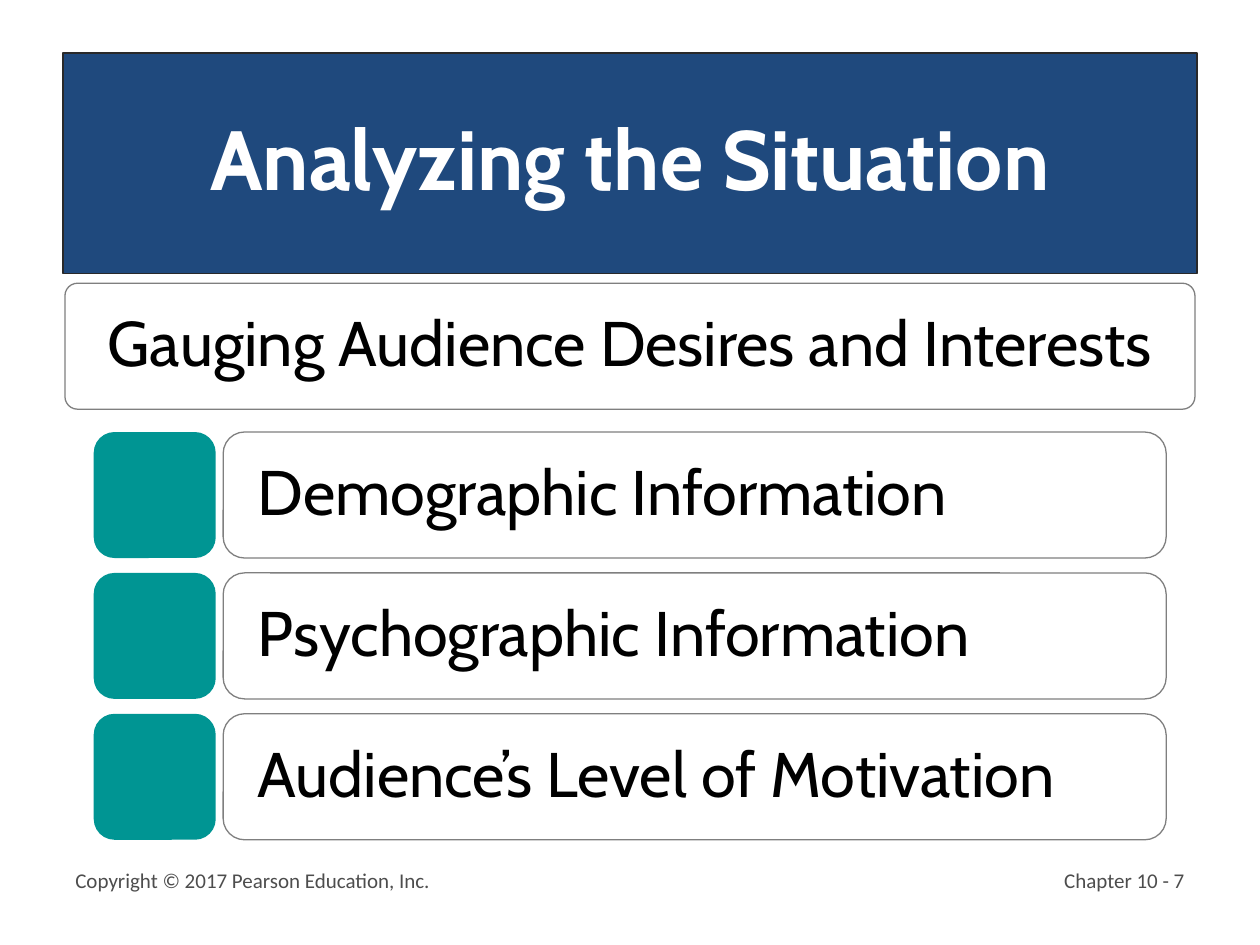
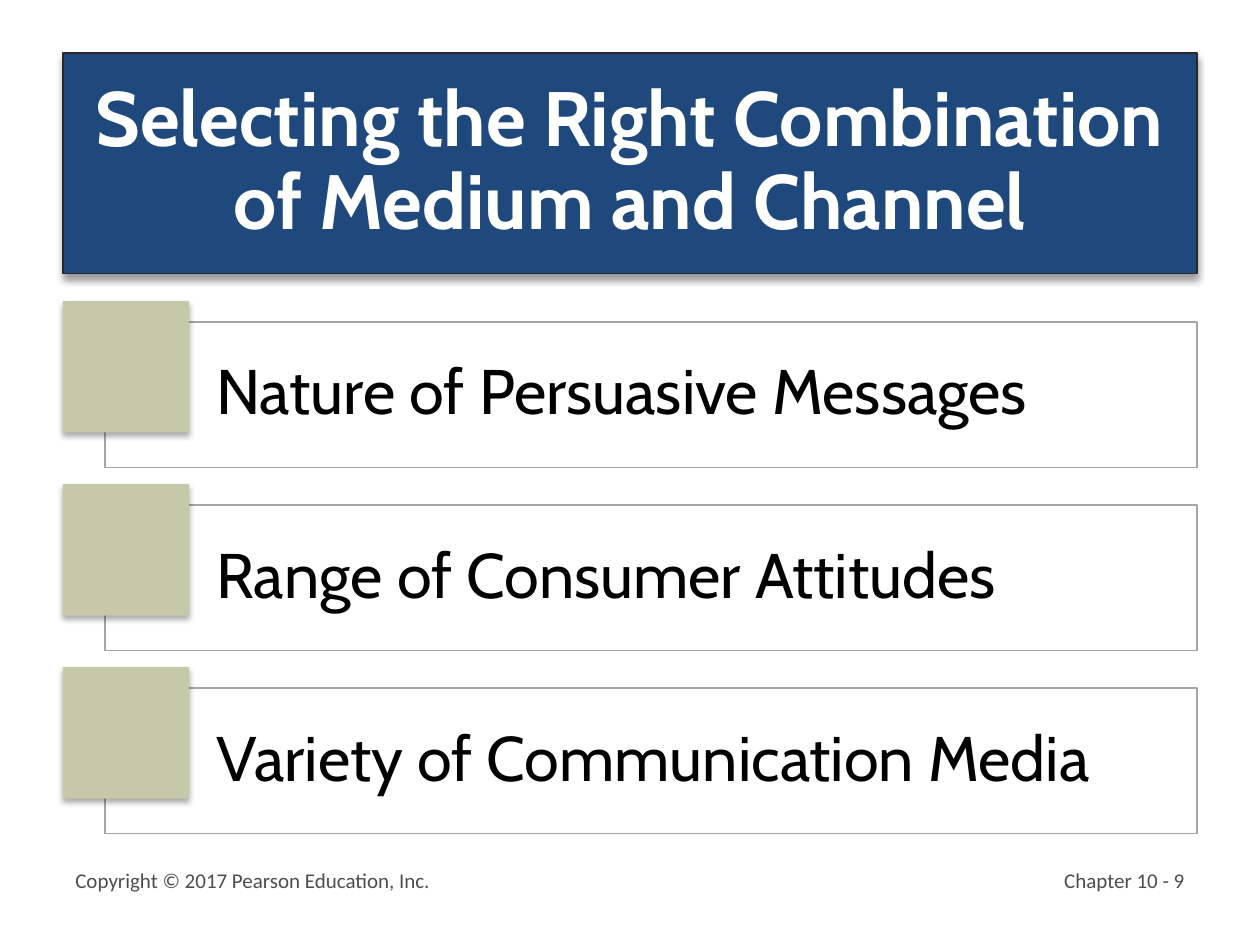
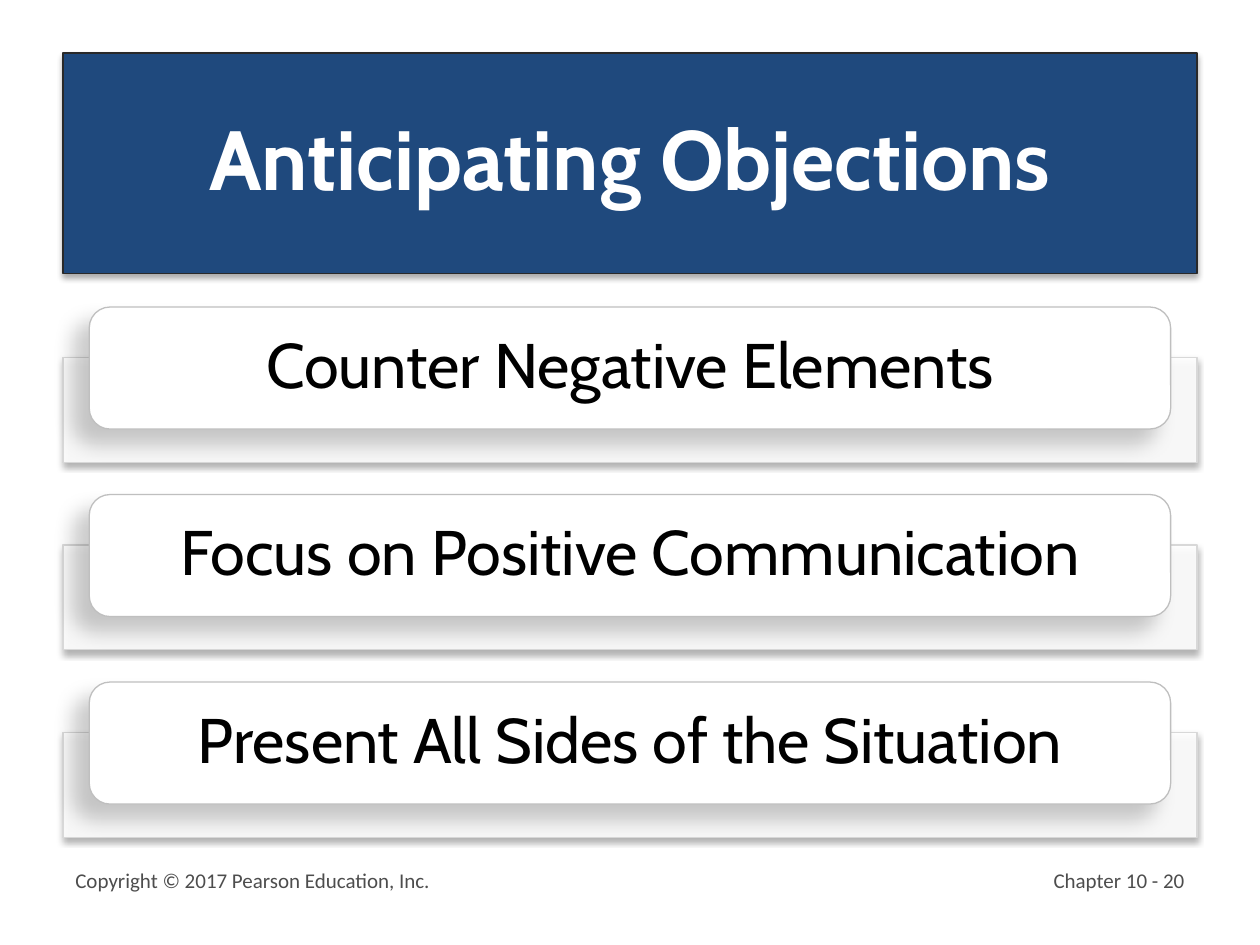
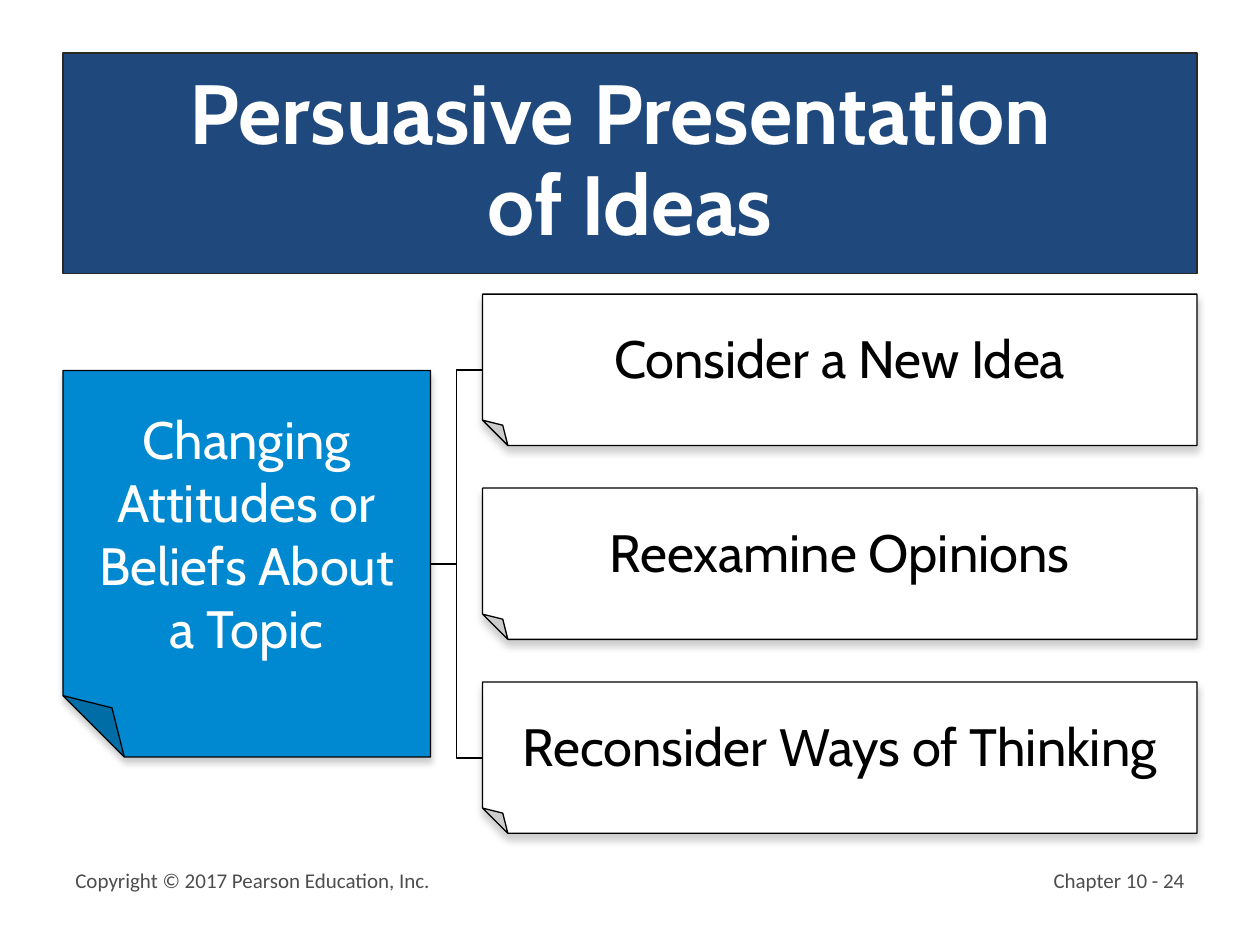
"""Build four slides on planning persuasive business messages."""
from collections import namedtuple

from lxml import etree
from pptx import Presentation
from pptx import util as u
from pptx.dml.color import RGBColor
from pptx.enum import shapes, text
from pptx.oxml import ns

COLORS = {
    "white": "FFFFFF", "black": "000000", "navy": "1F497D", "title_edge": "292929",
    "footer": "4D4D4D", "teal": "009593", "gray": "7F7F7F", "sage": "C5C8A9",
    "frame_edge": "A5A5A5", "tray_edge": "D8D8D8", "card_edge": "BFBFBF", "blue": "0089D1",
}
HEADING_FONT, FOOTER_FONT = "Cabin", "Calibri"
COPYRIGHT = "Copyright © 2017 Pearson Education, Inc."

Box = namedtuple("Box", "left top width height")
Shadow = namedtuple("Shadow", "opacity blur distance angle")

TITLE_BOX = Box(1.27, 1.07, 22.86, 4.44)
FOOTER_BOX = Box(1.27, 17.35, 22.86, 1.27)
DEFAULT_INSETS = (0.25, 0.13, 0.25, 0.13)

TITLE_SHADOW = Shadow(40, 4, 3, 90)
SOFT_SHADOW = Shadow(32, 3.5, 2.2, 90)
CARD_SHADOW = Shadow(20, 11.8, 12, 141)
PAPER_SHADOW = Shadow(20, 4, 3, 90)

RECTANGLE = shapes.MSO_SHAPE.RECTANGLE
ROUNDED = shapes.MSO_SHAPE.ROUNDED_RECTANGLE
FOLDED = shapes.MSO_SHAPE.FOLDED_CORNER


def color(name):
    """Return the named palette colour."""
    return RGBColor.from_string(COLORS[name])


def add_child(parent, tag, **attributes):
    """Append a DrawingML element to its parent."""
    child = etree.SubElement(parent, ns.qn(tag))
    for name, value in attributes.items():
        child.set(name, str(value))
    return child


def add_shadow(shape, shadow):
    """Give a shape a black outer shadow."""
    effects = shape._element.spPr.find(ns.qn("a:effectLst"))
    outer = add_child(effects, "a:outerShdw", blurRad=int(u.Pt(shadow.blur)),
                      dist=int(u.Pt(shadow.distance)), dir=shadow.angle * 60000,
                      algn="ctr", rotWithShape=0)
    black = add_child(outer, "a:srgbClr", val=COLORS["black"])
    add_child(black, "a:alpha", val=shadow.opacity * 1000)


def add_panel(slide, kind, box, fill, line=None, shadow=None, opacity=100, corner=None):
    """Add a filled preset shape with an optional outline and shadow."""
    shape = slide.shapes.add_shape(kind, *(u.Cm(length) for length in box))
    shape.shadow.inherit = False
    shape.fill.solid()
    shape.fill.fore_color.rgb = color(fill)
    if opacity < 100:
        tone = shape._element.spPr.find(ns.qn("a:solidFill")).find(ns.qn("a:srgbClr"))
        add_child(tone, "a:alpha", val=opacity * 1000)
    if line:
        shape.line.color.rgb = color(line)
        shape.line.width = u.Pt(0.75)
    else:
        shape.line.fill.background()
    if corner is not None:
        shape.adjustments[0] = corner
    if shadow:
        add_shadow(shape, shadow)
    return shape


def write(shape, words, size, tone="black", align="CENTER", anchor="MIDDLE", font=HEADING_FONT,
          bold=False, spacing=0.9, insets=DEFAULT_INSETS):
    """Write one paragraph per line of words into a shape."""
    frame = shape.text_frame
    frame.word_wrap = True
    frame.vertical_anchor = text.MSO_ANCHOR[anchor]
    sides = ("margin_left", "margin_top", "margin_right", "margin_bottom")
    for side, inset in zip(sides, insets):
        setattr(frame, side, u.Cm(inset))
    frame.text = words
    for paragraph in frame.paragraphs:
        paragraph.alignment = text.PP_ALIGN[align]
        paragraph.line_spacing = spacing
        paragraph.font.name = font
        paragraph.font.size = u.Pt(size)
        paragraph.font.bold = bold
        paragraph.font.color.rgb = color(tone)


def add_title(slide, box, words, size, shadow):
    """Add the navy title band."""
    band = add_panel(slide, RECTANGLE, box, "navy", "title_edge", shadow)
    write(band, words, size, "white", bold=True)


def add_footer(slide, box, page):
    """Add the copyright line and the chapter page number."""
    page_width = 5.28
    copyright_box = box._replace(width=15.67)
    page_box = box._replace(left=box.left + box.width - page_width, width=page_width)
    for part, words, align in ((copyright_box, COPYRIGHT, "LEFT"),
                               (page_box, f"Chapter 10 - {page}", "RIGHT")):
        text_box = slide.shapes.add_textbox(*(u.Cm(length) for length in part))
        write(text_box, words, 12, "footer", align, "TOP", FOOTER_FONT, spacing=1.0)


def add_tile_list(slide, box, heading, labels):
    """Add a heading box above rows of a teal tile and a label."""
    height, step, indent, tile_width, gap = 2.54, 2.84, 0.58, 2.46, 0.15
    header = add_panel(slide, ROUNDED, box._replace(height=height), "white", "gray", corner=0.1)
    write(header, heading, 36)
    label_left = box.left + indent + tile_width + gap
    label_width = box.width - 2 * indent - tile_width - gap
    for row, label in enumerate(labels):
        top = box.top + 3 + row * step
        add_panel(slide, ROUNDED, Box(box.left + indent, top, tile_width, height), "teal", corner=0.17)
        panel = add_panel(slide, ROUNDED, Box(label_left, top, label_width, height),
                          "white", "gray", corner=0.17)
        write(panel, label, 36, align="LEFT", insets=(0.57,) * 4)


def add_square_list(slide, box, labels):
    """Add framed rows, each with a sage square over its upper left corner."""
    step, shift, drop = 3.69, 0.85, 0.42
    for row, label in enumerate(labels):
        top = box.top + row * step
        frame_box = Box(box.left + shift, top + drop, box.width - shift, 2.93)
        frame = add_panel(slide, RECTANGLE, frame_box, "white", "frame_edge", opacity=40)
        write(frame, label, 36, align="LEFT", insets=(2.24, 0.53, 0.53, 0.53))
        add_panel(slide, RECTANGLE, Box(box.left, top, 2.54, 2.65), "sage", shadow=SOFT_SHADOW)


def add_card_list(slide, box, labels):
    """Add rounded cards, each raised over a wider tray."""
    step, margin, drop = 3.78, 0.53, 1.02
    for row, label in enumerate(labels):
        top = box.top + row * step
        add_panel(slide, RECTANGLE, Box(box.left, top + drop, box.width, 2.11),
                  "white", "tray_edge", SOFT_SHADOW, opacity=90)
        card = add_panel(slide, ROUNDED, Box(box.left + margin, top, box.width - 2 * margin, 2.46),
                         "white", "card_edge", CARD_SHADOW, corner=0.17)
        write(card, label, 36, insets=(0.74, 0.13, 0.74, 0.13))


def add_paper(slide, box, words, fill, tone):
    """Add a sheet with its lower left corner folded."""
    sheet = add_panel(slide, FOLDED, box, fill, "black", PAPER_SHADOW)
    sheet._element.spPr.find(ns.qn("a:xfrm")).set("flipH", "1")
    write(sheet, words, 30, tone, spacing=1.0)


def add_branch(slide, start, end):
    """Join two points with a black elbow connector."""
    points = (u.Cm(length) for length in (*start, *end))
    connector = slide.shapes.add_connector(shapes.MSO_CONNECTOR.ELBOW, *points)
    connector.line.color.rgb = color("black")
    connector.line.width = u.Pt(1)
    add_child(connector._element.spPr, "a:effectLst")


def add_paper_tree(slide, box, topic, ideas):
    """Add a topic sheet that branches to a stack of idea sheets."""
    topic_width, topic_height = 7.41, 7.79
    idea_width, idea_height, step = 14.4, 3.05, 3.91
    middle = box.top + box.height / 2
    add_paper(slide, Box(box.left, middle - topic_height / 2, topic_width, topic_height),
              topic, "blue", "white")
    idea_left = box.left + box.width - idea_width
    tops = [box.top + row * step for row in range(len(ideas))]
    for top, idea in zip(tops, ideas):
        add_paper(slide, Box(idea_left, top, idea_width, idea_height), idea, "white", "black")
    for top in (tops[0], tops[-1]):
        add_branch(slide, (box.left + topic_width, middle), (idea_left, top + idea_height / 2))


def add_slide(presentation, title, page, size=48, shadow=None):
    """Add a blank slide with the shared title band and footer."""
    slide = presentation.slides.add_slide(presentation.slide_layouts[6])
    add_title(slide, TITLE_BOX, title, size, shadow)
    add_footer(slide, FOOTER_BOX, page)
    return slide


def main():
    """Build and save the presentation."""
    presentation = Presentation()
    presentation.slide_width, presentation.slide_height = u.Cm(25.4), u.Cm(19.05)

    slide = add_slide(presentation, "Analyzing the Situation", 7)
    add_tile_list(slide, Box(1.31, 5.71, 22.78, 11.22), "Gauging Audience Desires and Interests",
                  ["Demographic Information", "Psychographic Information",
                   "Audience’s Level of Motivation"])

    slide = add_slide(presentation, "Selecting the Right Combination of Medium and Channel", 9,
                      44, TITLE_SHADOW)
    add_square_list(slide, Box(1.27, 6.07, 22.86, 10.73),
                    ["Nature of Persuasive Messages", "Range of Consumer Attitudes",
                     "Variety of Communication Media"])

    slide = add_slide(presentation, "Anticipating Objections", 20, shadow=SOFT_SHADOW)
    add_card_list(slide, Box(1.27, 6.19, 22.86, 10.69),
                  ["Counter Negative Elements", "Focus on Positive Communication",
                   "Present All Sides of the Situation"])

    slide = add_slide(presentation, "Persuasive Presentation \vof Ideas", 24)
    add_paper_tree(slide, Box(1.27, 5.93, 22.86, 10.87),
                   "Changing\nAttitudes or\nBeliefs About\na Topic",
                   ["Consider a New Idea", "Reexamine Opinions", "Reconsider Ways of Thinking"])

    presentation.save("out.pptx")


if __name__ == "__main__":
    main()
